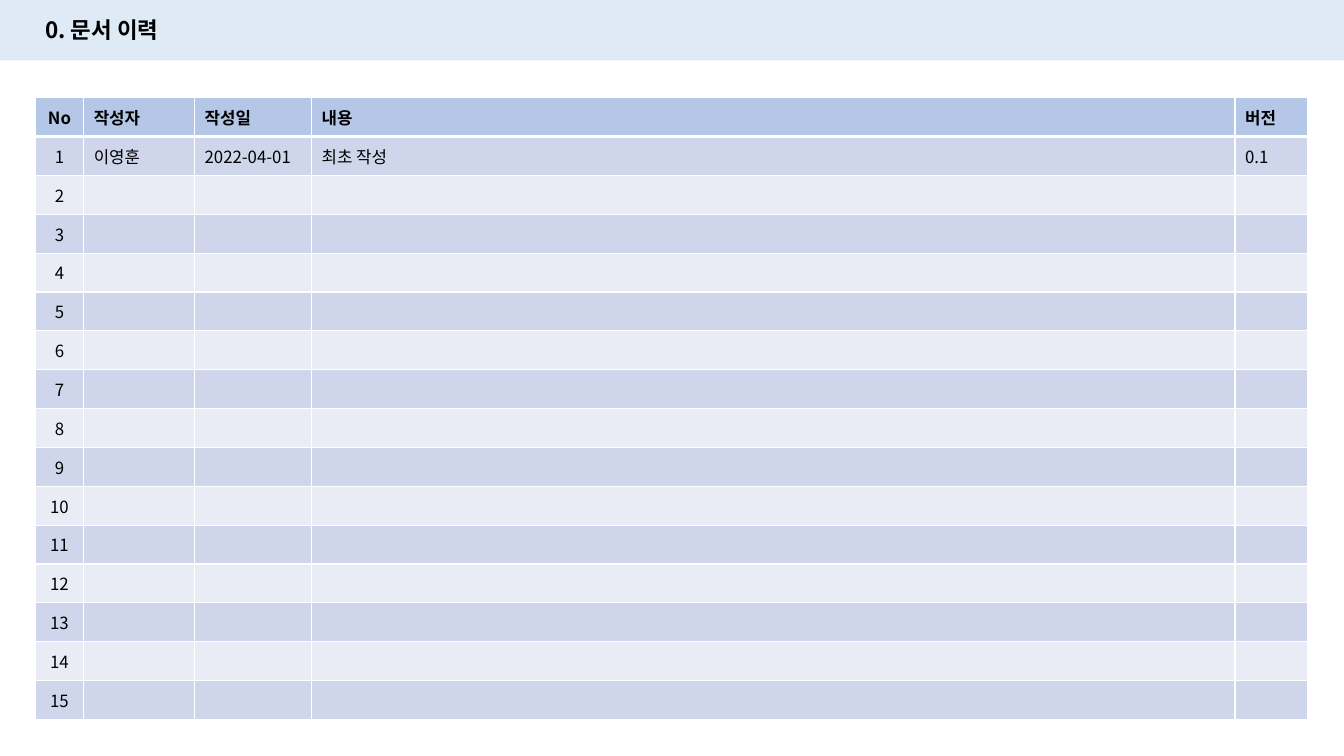
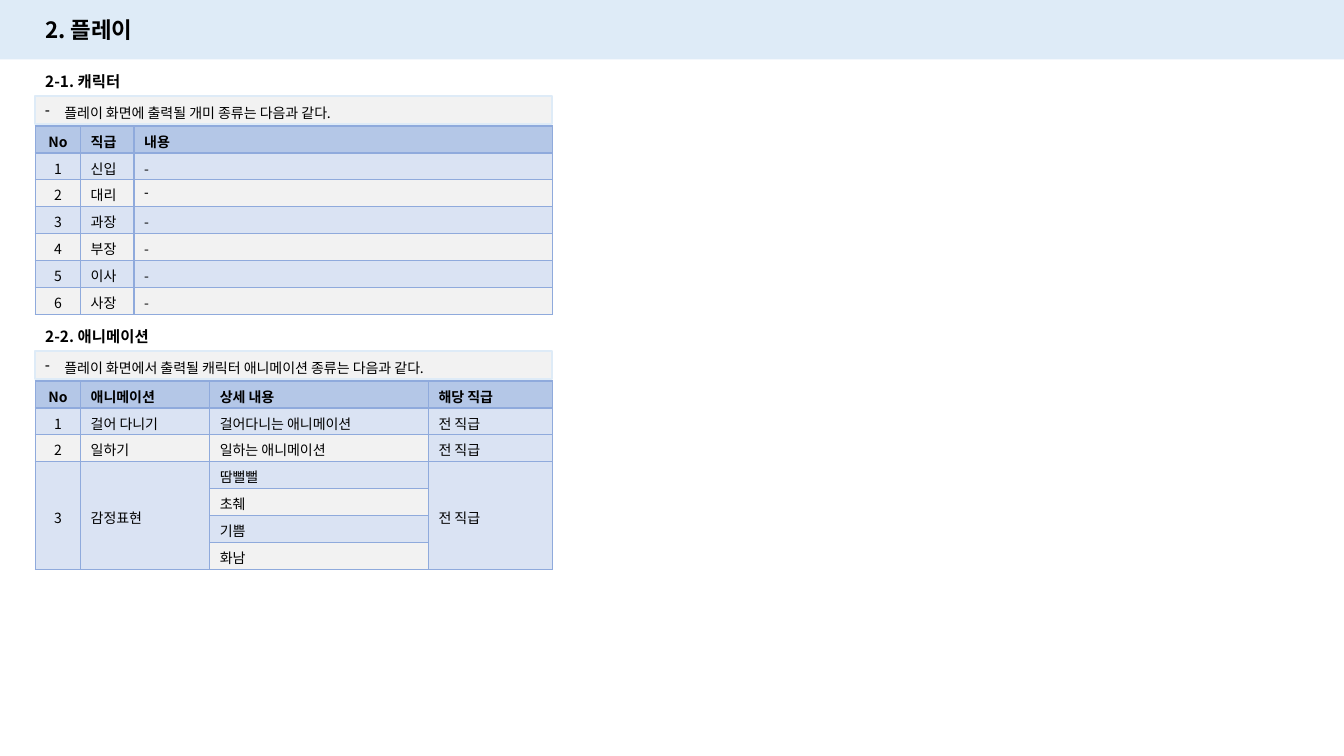
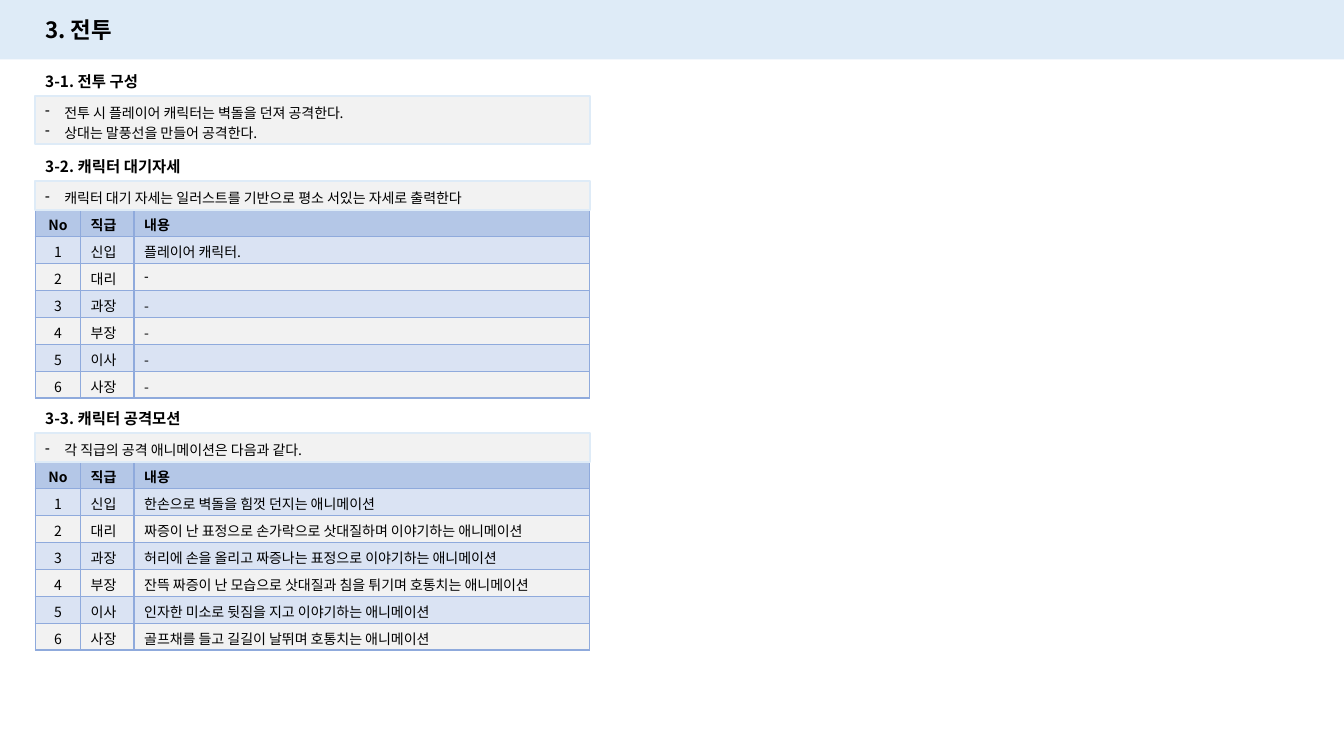
from lxml import etree
from pptx import Presentation
from pptx.dml.color import RGBColor
from pptx.enum.shapes import MSO_SHAPE
from pptx.enum.text import MSO_ANCHOR, MSO_AUTO_SIZE, PP_ALIGN
from pptx.oxml.ns import qn
from pptx.util import Pt

PX = 9144  # 100 px to the inch
RECTANGLE = MSO_SHAPE.RECTANGLE
TOP, MIDDLE = MSO_ANCHOR.TOP, MSO_ANCHOR.MIDDLE
LEFT, CENTER = PP_ALIGN.LEFT, PP_ALIGN.CENTER
NO_FIT = MSO_AUTO_SIZE.NONE

FONT, DASH_FONT = "Noto Sans CJK KR", "Arial"
COLORS = {
    "text": "000000", "white": "FFFFFF", "band": "DEEBF7", "note": "F2F2F2",
    "header": "B4C7E7", "blue_row": "DAE3F3", "grid": "8FAADC",
    "history_odd": "CFD5EA", "history_even": "E9EBF5",
}
RANKS = ["신입", "대리", "과장", "부장", "이사", "사장"]
MARGIN = 35


def color(name):
    return RGBColor.from_string(COLORS[name])


class Deck:
    """Holds the style and the current slide."""

    def __init__(self):
        self.presentation = Presentation()
        self.presentation.slide_width = 1333 * PX
        self.presentation.slide_height = 750 * PX
        self.slide = None

    def new_slide(self, title, band_height=59):
        layout = self.presentation.slide_layouts[5]
        self.slide = self.presentation.slides.add_slide(layout)
        band = self.rectangle(0, 0, 1333, band_height, "band")
        self.slide.shapes.element.insert(2, band.element)  # behind the title
        shape = self.slide.shapes.title
        shape.left, shape.top = MARGIN * PX, 11 * PX
        shape.width, shape.height = 211 * PX, 37 * PX
        self.label(shape, title, 16)

    def style(self, paragraph, size, bold=False, align=LEFT, latin=FONT):
        paragraph.alignment = align
        font = paragraph.font
        font.size, font.bold, font.name = Pt(size), bold, latin
        font.color.rgb = color("text")
        defaults = paragraph._p.pPr.find(qn("a:defRPr"))
        etree.SubElement(defaults, qn("a:ea"), typeface=FONT)

    def label(self, shape, text, size):
        frame = shape.text_frame
        frame.word_wrap = True
        frame.auto_size = NO_FIT
        frame.vertical_anchor = MIDDLE
        frame.text = text
        self.style(frame.paragraphs[0], size, bold=True)

    def rectangle(self, left, top, width, height, fill):
        shape = self.slide.shapes.add_shape(
            RECTANGLE, left * PX, top * PX, width * PX, height * PX)
        shape.shadow.inherit = False
        shape.fill.solid()
        shape.fill.fore_color.rgb = color(fill)
        shape.line.fill.background()
        return shape

    def section(self, top, width, heading, notes):
        """A bold heading with a box of dashed notes under it."""
        box = self.rectangle(MARGIN, top + 29, width, 8 + 20 * len(notes), "note")
        box.line.color.rgb = color("band")
        box.line.width = Pt(1.5)
        frame = box.text_frame
        frame.word_wrap = True
        frame.vertical_anchor = TOP
        frame.text = "\n".join(notes)
        for paragraph in frame.paragraphs:
            paragraph.line_spacing = 1.2
            properties = paragraph._p.get_or_add_pPr()
            properties.set("marL", str(19 * PX))
            properties.set("indent", str(-19 * PX))
            etree.SubElement(properties, qn("a:buChar"), char="-")
            self.style(paragraph, 10)
        heading_box = self.slide.shapes.add_textbox(
            MARGIN * PX, top * PX, 211 * PX, 29 * PX)
        self.label(heading_box, heading, 11)

    def border(self, cell, name, bottom_width=1):
        properties = cell._tc.get_or_add_tcPr()
        for side, width in (("L", 1), ("R", 1), ("T", 1), ("B", bottom_width)):
            line = etree.SubElement(properties, qn("a:ln" + side), w=str(Pt(width)))
            fill = etree.SubElement(line, qn("a:solidFill"))
            etree.SubElement(fill, qn("a:srgbClr"), val=COLORS[name])

    def table(self, top, height, widths, rows, size=10, bands=("blue_row", "note"),
              grid="grid", header_line=1, anchor=TOP, margins=(5, 1),
              plain_column=None, dash_cell=None):
        table = self.slide.shapes.add_table(
            len(rows), len(widths), MARGIN * PX, top * PX,
            sum(widths) * PX, height * PX).table
        table.first_row = table.horz_banding = False
        for column, width in zip(table.columns, widths):
            column.width = width * PX
        for r, row in enumerate(rows):
            table.rows[r].height = height * PX // len(rows)
            for c, text in enumerate(row):
                cell = table.cell(r, c)
                self.border(cell, grid, header_line if r == 0 else 1)
                band = bands[0] if c == plain_column else bands[(r - 1) % 2]
                cell.fill.solid()
                cell.fill.fore_color.rgb = color(band if r else "header")
                cell.margin_top, cell.margin_bottom = (m * PX for m in margins)
                cell.vertical_anchor = anchor
                cell.text = text
                self.style(cell.text_frame.paragraphs[0], size, r == 0,
                           LEFT if c else CENTER,
                           DASH_FONT if (r, c) == dash_cell else FONT)
        return table

    def rank_table(self, top, width, contents, dash_cell=None):
        rows = [("No", "직급", "내용")]
        rows += [(str(number), rank, content) for number, (rank, content)
                 in enumerate(zip(RANKS, contents), 1)]
        self.table(top, 187, [45, 53, width - 98], rows, dash_cell=dash_cell)


def main():
    deck = Deck()

    # Document history
    deck.new_slide("0. 문서 이력", band_height=60)
    history = [("No", "작성자", "작성일", "내용", "버전"),
               ("1", "이영훈", "2022-04-01", "최초 작성", "0.1")]
    history += [(str(number), "", "", "", "") for number in range(2, 16)]
    deck.table(97, 617, [48, 110, 116, 916, 72], history, size=12,
               bands=("history_odd", "history_even"), grid="white",
               header_line=3, anchor=MIDDLE, margins=(3, 3))

    # Play
    deck.new_slide("2. 플레이")
    deck.section(66, 513, "2-1. 캐릭터",
                 ["플레이 화면에 출력될 개미 종류는 다음과 같다."])
    deck.rank_table(125, 513, ["-"] * 6, dash_cell=(2, 2))
    deck.section(319, 513, "2-2. 애니메이션",
                 ["플레이 화면에서 출력될 캐릭터 애니메이션 종류는 다음과 같다."])
    animations = [
        ("No", "애니메이션", "상세 내용", "해당 직급"),
        ("1", "걸어 다니기", "걸어다니는 애니메이션", "전 직급"),
        ("2", "일하기", "일하는 애니메이션", "전 직급"),
        ("3", "감정표현", "땀뻘뻘", "전 직급"),
    ]
    animations += [("", "", emotion, "") for emotion in ("초췌", "기쁨", "화남")]
    table = deck.table(378, 187, [45, 128, 217, 123], animations, plain_column=3)
    for column in (0, 1, 3):
        table.cell(3, column).merge(table.cell(6, column))
        table.cell(3, column).vertical_anchor = MIDDLE

    # Battle
    deck.new_slide("3. 전투")
    deck.section(66, 550, "3-1. 전투 구성",
                 ["전투 시 플레이어 캐릭터는 벽돌을 던져 공격한다.",
                  "상대는 말풍선을 만들어 공격한다."])
    deck.rank_table(208, 550, ["플레이어 캐릭터."] + ["-"] * 5, dash_cell=(2, 2))
    deck.section(151, 550, "3-2. 캐릭터 대기자세",
                 ["캐릭터 대기 자세는 일러스트를 기반으로 평소 서있는 자세로 출력한다"])
    deck.rank_table(458, 550, [
        "한손으로 벽돌을 힘껏 던지는 애니메이션",
        "짜증이 난 표정으로 손가락으로 삿대질하며 이야기하는 애니메이션",
        "허리에 손을 올리고 짜증나는 표정으로 이야기하는 애니메이션",
        "잔뜩 짜증이 난 모습으로 삿대질과 침을 튀기며 호통치는 애니메이션",
        "인자한 미소로 뒷짐을 지고 이야기하는 애니메이션",
        "골프채를 들고 길길이 날뛰며 호통치는 애니메이션",
    ])
    deck.section(401, 550, "3-3. 캐릭터 공격모션",
                 ["각 직급의 공격 애니메이션은 다음과 같다."])

    deck.presentation.save("out.pptx")


if __name__ == "__main__":
    main()
